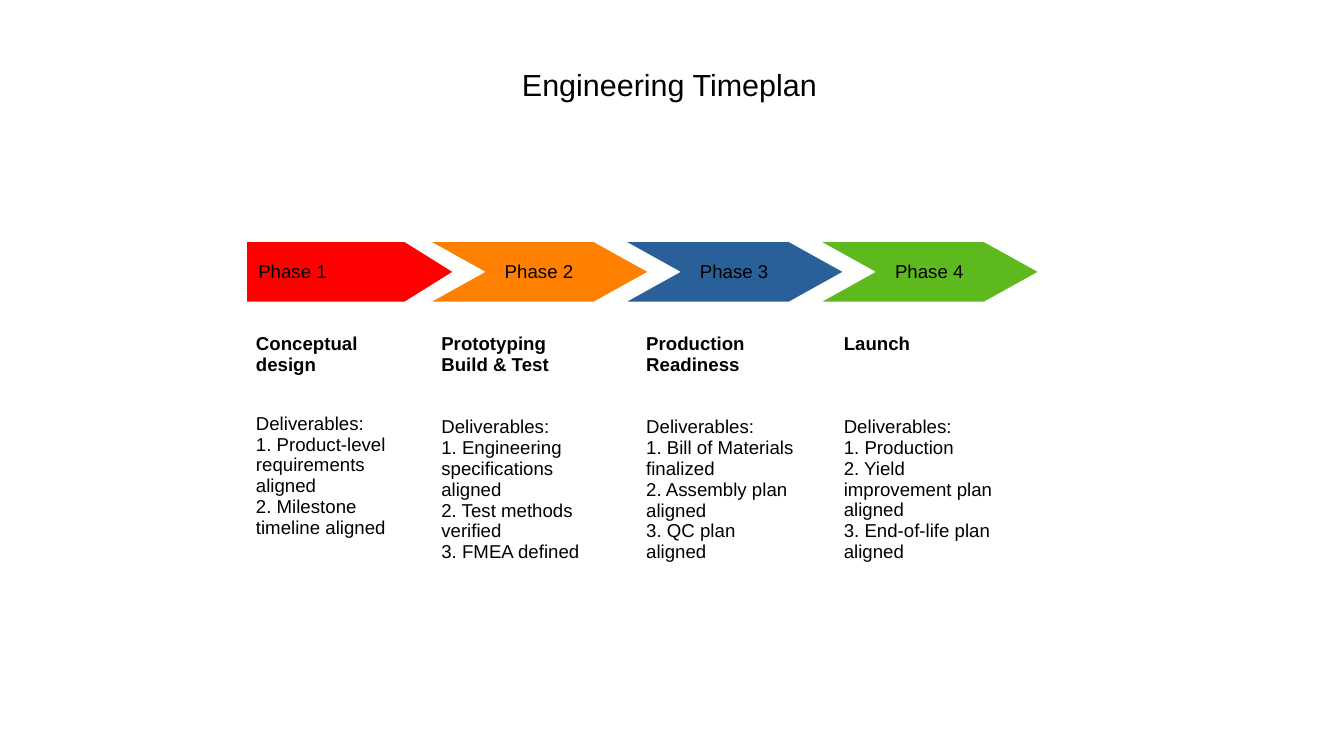
from pptx import Presentation
from pptx.dml.color import RGBColor
from pptx.enum.shapes import MSO_SHAPE as Shape
from pptx.enum.text import MSO_ANCHOR as Anchor, MSO_AUTO_SIZE as AutoSize, PP_ALIGN as Align
from pptx.util import Inches, Pt

TITLE = "Engineering Timeplan"
COLORS = {"red": "FF0000", "orange": "FF8000", "blue": "2A6099",
          "green": "5EB91E", "white": "FFFFFF", "black": "000000"}
PHASES = [
    {"name": "Phase 1", "color": "red", "text_left": 2.0, "gap": 22.5,
     "heading": "Conceptual design",
     "items": ["Product-level requirements aligned", "Milestone timeline aligned"]},
    {"name": "Phase 2", "color": "orange", "text_left": 3.52, "gap": 24.6,
     "heading": "Prototyping Build & Test",
     "items": ["Engineering specifications aligned", "Test methods verified",
               "FMEA defined"]},
    {"name": "Phase 3", "color": "blue", "text_left": 5.2, "gap": 24.6,
     "heading": "Production Readiness",
     "items": ["Bill of Materials finalized", "Assembly plan aligned",
               "QC plan aligned"]},
    {"name": "Phase 4", "color": "green", "text_left": 6.82, "gap": 36.8,
     "heading": "Launch",
     "items": ["Production", "Yield improvement plan aligned",
               "End-of-life plan aligned"]},
]
ARROW_TOP, ARROW_HEIGHT = 1.98, 0.5
CHEVRON_LEFT, CHEVRON_WIDTH, CHEVRON_PITCH = 3.52, 1.8, 1.6
TEXT_TOP, TEXT_WIDTH, TEXT_HEIGHT = 2.68, 1.42, 1.72


def rgb(name):
    return RGBColor.from_string(COLORS[name])


def set_frame(tf, top_inset, anchor, wrap=True):
    tf.word_wrap = wrap
    tf.auto_size = AutoSize.NONE
    tf.vertical_anchor = anchor
    tf.margin_left = tf.margin_right = Inches(0.1)
    tf.margin_top = Inches(top_inset)
    tf.margin_bottom = Inches(0.05)


def format_paragraph(p, text, size=11, bold=False, align=Align.LEFT):
    p.text = text
    p.alignment = align
    p.line_spacing = 0.93
    p.font.name = "Arial"
    p.font.size = Pt(size)
    p.font.bold = bold
    p.font.color.rgb = rgb("black")


def add_arrow(s, index, phase):
    if index == 0:
        kind, left, width, point, align = Shape.PENTAGON, 2.02, 1.7, 0.4, Align.LEFT
    else:
        kind, width, point, align = Shape.CHEVRON, CHEVRON_WIDTH, 0.45, Align.CENTER
        left = CHEVRON_LEFT + (index - 1) * CHEVRON_PITCH
    sp = s.shapes.add_shape(kind, Inches(left), Inches(ARROW_TOP),
                            Inches(width), Inches(ARROW_HEIGHT))
    sp.adjustments[0] = point / ARROW_HEIGHT
    sp.shadow.inherit = False
    sp.fill.solid()
    sp.fill.fore_color.rgb = rgb(phase["color"])
    sp.line.color.rgb = rgb("white")
    sp.line.width = Pt(0.75)
    set_frame(sp.text_frame, 0.06, Anchor.MIDDLE)
    format_paragraph(sp.text_frame.paragraphs[0], phase["name"], align=align)


def add_details(s, phase):
    box = s.shapes.add_textbox(Inches(phase["text_left"]), Inches(TEXT_TOP),
                               Inches(TEXT_WIDTH), Inches(TEXT_HEIGHT))
    tf = box.text_frame
    set_frame(tf, 0.06, Anchor.TOP)
    format_paragraph(tf.paragraphs[0], phase["heading"], bold=True)
    p = tf.add_paragraph()
    format_paragraph(p, "Deliverables:")
    p.space_before = Pt(phase["gap"])
    for number, item in enumerate(phase["items"], 1):
        format_paragraph(tf.add_paragraph(), f"{number}. {item}")


def main():
    prs = Presentation()
    prs.slide_width, prs.slide_height = Inches(11.02), Inches(6.2)
    s = prs.slides.add_slide(prs.slide_layouts[5])

    title = s.shapes.title
    title.left, title.top = Inches(4.18), Inches(0.52)
    title.width, title.height = Inches(2.62), Inches(0.38)
    set_frame(title.text_frame, 0.05, Anchor.TOP, wrap=False)
    format_paragraph(title.text_frame.paragraphs[0], TITLE, size=18)

    for index, phase in enumerate(PHASES):
        add_arrow(s, index, phase)
        add_details(s, phase)
    prs.save("out.pptx")


if __name__ == "__main__":
    main()
